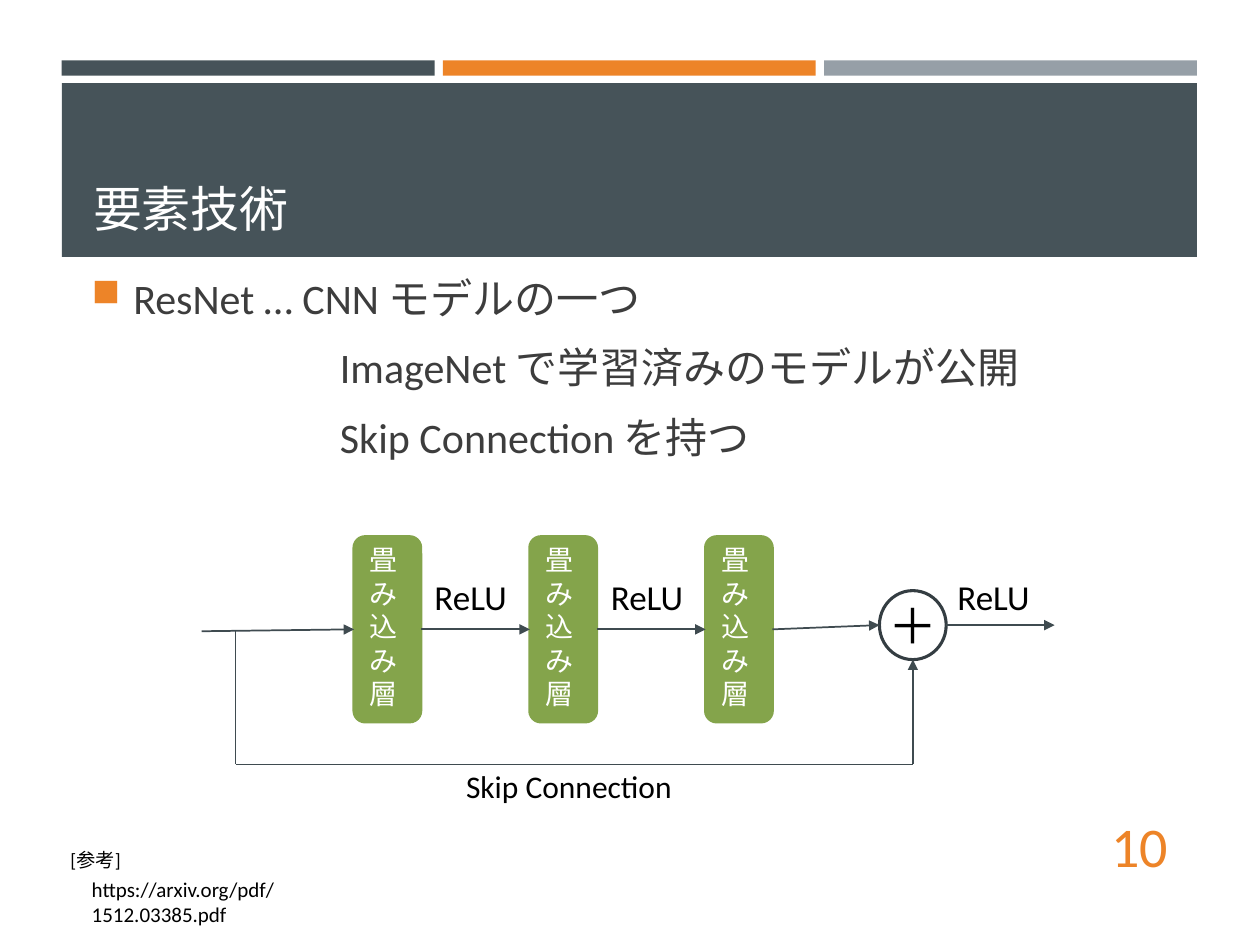
from dataclasses import dataclass

from lxml.etree import SubElement
from pptx import Presentation
from pptx.dml.color import RGBColor
from pptx.enum.shapes import MSO_CONNECTOR, MSO_SHAPE
from pptx.enum.text import MSO_ANCHOR, PP_ALIGN
from pptx.oxml.ns import qn
from pptx.util import Inches, Pt


@dataclass(frozen=True)
class Theme:
    font: str = "Calibri"
    slate: str = "465359"
    orange: str = "ED8428"
    gray: str = "969FA7"
    green: str = "84A44B"
    white: str = "FFFFFF"
    black: str = "000000"
    body: str = "3D3D3D"
    arrow: str = "3F4B50"
    ring: str = "343D42"
    title_size: int = 28
    body_size: int = 24
    number_size: int = 32
    relu_size: int = 20
    skip_size: int = 18
    layer_size: int = 16
    link_size: int = 12
    note_size: int = 11


THEME = Theme()
WIDTH, HEIGHT = Inches(10), Inches(7.5)
LAYER_LEFT, LAYER_PITCH, LAYER_COUNT = 28.1, 13.95, 3
LAYER_TOP, LAYER_WIDTH, LAYER_HEIGHT = 56.8, 5.3, 19.6
FLOW = LAYER_TOP + LAYER_HEIGHT / 2
SUM_LEFT, SUM_TOP, SUM_WIDTH, SUM_HEIGHT = 69.8, 62.5, 5.3, 7.3
SUM_MIDDLE = SUM_TOP + SUM_HEIGHT / 2


def across(percent):
    return int(WIDTH * percent / 100)


def down(percent):
    return int(HEIGHT * percent / 100)


def area(left, top, width, height):
    return across(left), down(top), across(width), down(height)


def set_values(target, values):
    for name, value in values.items():
        setattr(target, name, value)


def write(box, lines, size, color, align=PP_ALIGN.LEFT, **frame_values):
    frame = box.text_frame
    set_values(frame, {"word_wrap": True, **frame_values})
    for index, line in enumerate(lines):
        para = frame.paragraphs[0] if index == 0 else frame.add_paragraph()
        para.alignment = align
        span = para.add_run()
        span.text = line
        set_values(span.font, {"name": THEME.font, "size": Pt(size)})
        span.font.color.rgb = RGBColor.from_string(color)
    return frame


def add_label(page, place, lines, size, color=THEME.black, **options):
    box = page.shapes.add_textbox(*area(*place))
    return write(box, lines, size, color, **options)


def add_block(page, kind, place, fill, outline=None):
    block = page.shapes.add_shape(kind, *area(*place))
    block.shadow.inherit = False
    block.fill.solid()
    block.fill.fore_color.rgb = RGBColor.from_string(fill)
    if outline:
        block.line.color.rgb = RGBColor.from_string(outline)
        block.line.width = Pt(1.75)
    else:
        block.line.fill.background()
    return block


def add_line(page, start, end, source=None, target=None, arrow=True):
    line = page.shapes.add_connector(
        MSO_CONNECTOR.STRAIGHT,
        across(start[0]), down(start[1]), across(end[0]), down(end[1]),
    )
    if source is not None:
        line.begin_connect(source, 3)
    if target is not None:
        line.end_connect(target, 1)
    line.line.color.rgb = RGBColor.from_string(THEME.arrow)
    line.line.width = Pt(1)
    if arrow:
        SubElement(line.line._get_or_add_ln(), qn("a:tailEnd"), type="triangle")
    SubElement(line._element.spPr, qn("a:effectLst"))


def add_header(page):
    for index, color in enumerate((THEME.slate, THEME.orange, THEME.gray)):
        place = (4.9 + 30.25 * index, 6.4, 29.6, 1.6)
        add_block(page, MSO_SHAPE.RECTANGLE, place, color)
    add_block(page, MSO_SHAPE.RECTANGLE, (4.9, 8.8, 90.1, 18.4), THEME.slate)
    add_label(page, (6.4, 10, 87.4, 15.73), ["要素技術"], THEME.title_size,
              THEME.white, vertical_anchor=MSO_ANCHOR.BOTTOM)


def set_bullet(para):
    properties = para._p.get_or_add_pPr()
    color = SubElement(properties, qn("a:buClr"))
    SubElement(color, qn("a:srgbClr"), val=THEME.orange)
    SubElement(properties, qn("a:buSzPct"), val="92000")
    SubElement(properties, qn("a:buChar"), char="■")


def add_body(page):
    lines = ["ResNet … CNN モデルの一つ", "ImageNet で学習済みのモデルが公開",
             "Skip Connection を持つ"]
    frame = add_label(page, (6.3, 28.13, 87.4, 58.67), lines,
                      THEME.body_size, THEME.body)
    first, *others = frame.paragraphs
    first.space_after = Pt(6)
    properties = first._p.get_or_add_pPr()
    properties.set("marL", str(Inches(0.33)))
    properties.set("indent", str(-Inches(0.33)))
    set_bullet(first)
    for para in others:
        set_values(para, {"space_before": Pt(5), "space_after": Pt(6)})
        para._p.get_or_add_pPr().set("marL", str(Inches(1.97)))


def add_layer(page, index):
    place = (LAYER_LEFT + LAYER_PITCH * index, LAYER_TOP, LAYER_WIDTH, LAYER_HEIGHT)
    layer = add_block(page, MSO_SHAPE.ROUNDED_RECTANGLE, place,
                      THEME.green, THEME.green)
    write(layer, ["畳み込み層"], THEME.layer_size, THEME.white,
          vertical_anchor=MSO_ANCHOR.TOP, margin_left=Inches(0.1),
          margin_right=Inches(0.1), margin_top=Inches(0.02), margin_bottom=0)
    return layer


def add_network(page):
    layers = [add_layer(page, index) for index in range(LAYER_COUNT)]
    adder = add_block(page, MSO_SHAPE.FLOWCHART_CONNECTOR,
                      (SUM_LEFT, SUM_TOP, SUM_WIDTH, SUM_HEIGHT),
                      THEME.white, THEME.ring)
    write(adder, ["＋"], THEME.title_size, THEME.black, PP_ALIGN.CENTER,
          word_wrap=False, vertical_anchor=MSO_ANCHOR.MIDDLE,
          margin_left=0, margin_right=0, margin_top=0, margin_bottom=0)

    add_line(page, (16, 66.8), (LAYER_LEFT, FLOW), target=layers[0])
    for source, target in zip(layers, layers[1:]):
        add_line(page, (0, FLOW), (0, FLOW), source, target)
    add_line(page, (0, FLOW), (SUM_LEFT, SUM_MIDDLE), source=layers[-1])
    add_line(page, (SUM_LEFT + SUM_WIDTH, SUM_MIDDLE), (83.7, SUM_MIDDLE))

    center = SUM_LEFT + SUM_WIDTH / 2
    corners = [(18.7, 66.7), (18.7, 80.9), (center, 80.9),
               (center, SUM_TOP + SUM_HEIGHT)]
    for index, (start, end) in enumerate(zip(corners, corners[1:])):
        add_line(page, start, end, arrow=index == len(corners) - 2)

    for left in (33.5, 47.5, 75):
        add_label(page, (left, 60.2, 10.3, 5.87), ["ReLU"], THEME.relu_size)
    add_label(page, (36, 80.5, 19.1, 5.47), ["Skip Connection"], THEME.skip_size)


def add_footer(page):
    add_label(page, (4.6, 89.1, 18.6, 3.87), ["[参考]"], THEME.note_size)
    add_label(page, (6.3, 92.1, 18.6, 6.6),
              ["https://arxiv.org/pdf/1512.03385.pdf"], THEME.link_size)
    add_label(page, (85.3, 86.8, 8.4, 5.33), ["10"], THEME.number_size,
              THEME.orange, align=PP_ALIGN.RIGHT,
              vertical_anchor=MSO_ANCHOR.MIDDLE)


def main():
    deck = Presentation()
    set_values(deck, {"slide_width": WIDTH, "slide_height": HEIGHT})
    page = deck.slides.add_slide(deck.slide_layouts[6])
    add_header(page)
    add_body(page)
    add_network(page)
    add_footer(page)
    deck.save("out.pptx")


if __name__ == "__main__":
    main()
